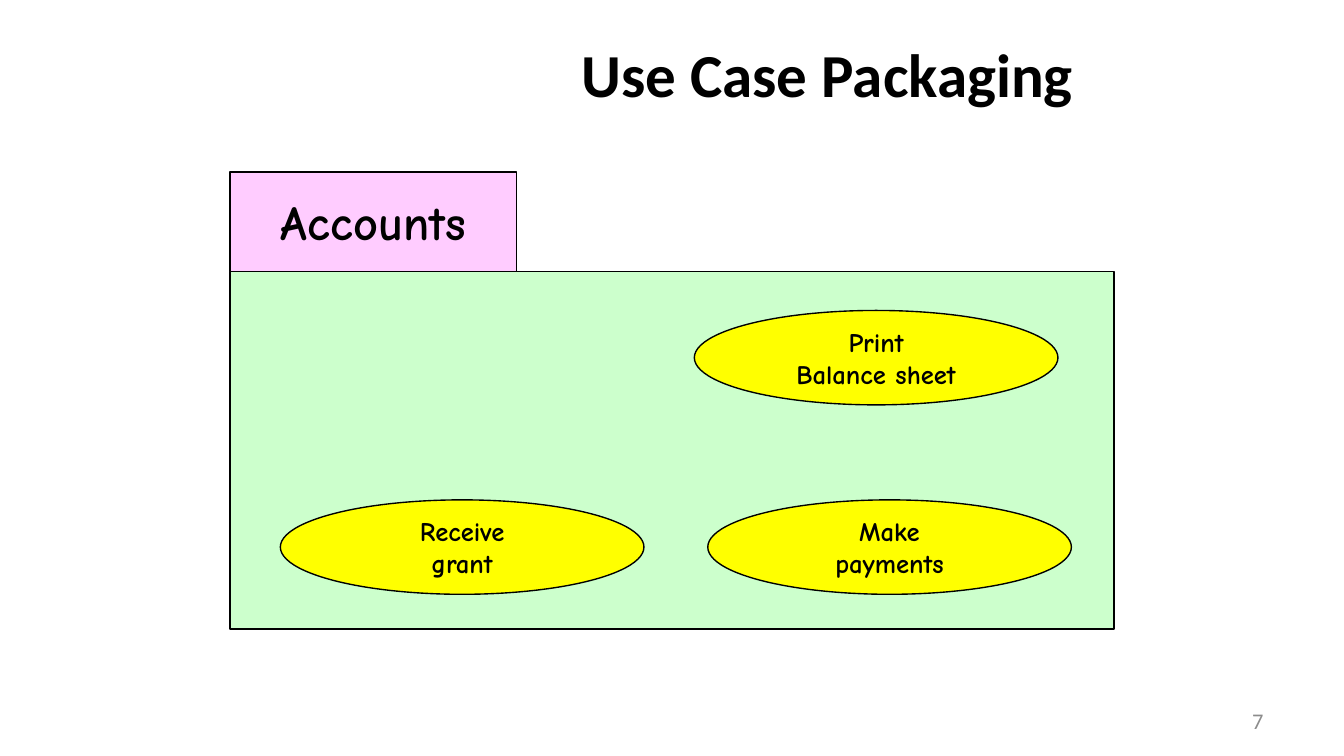
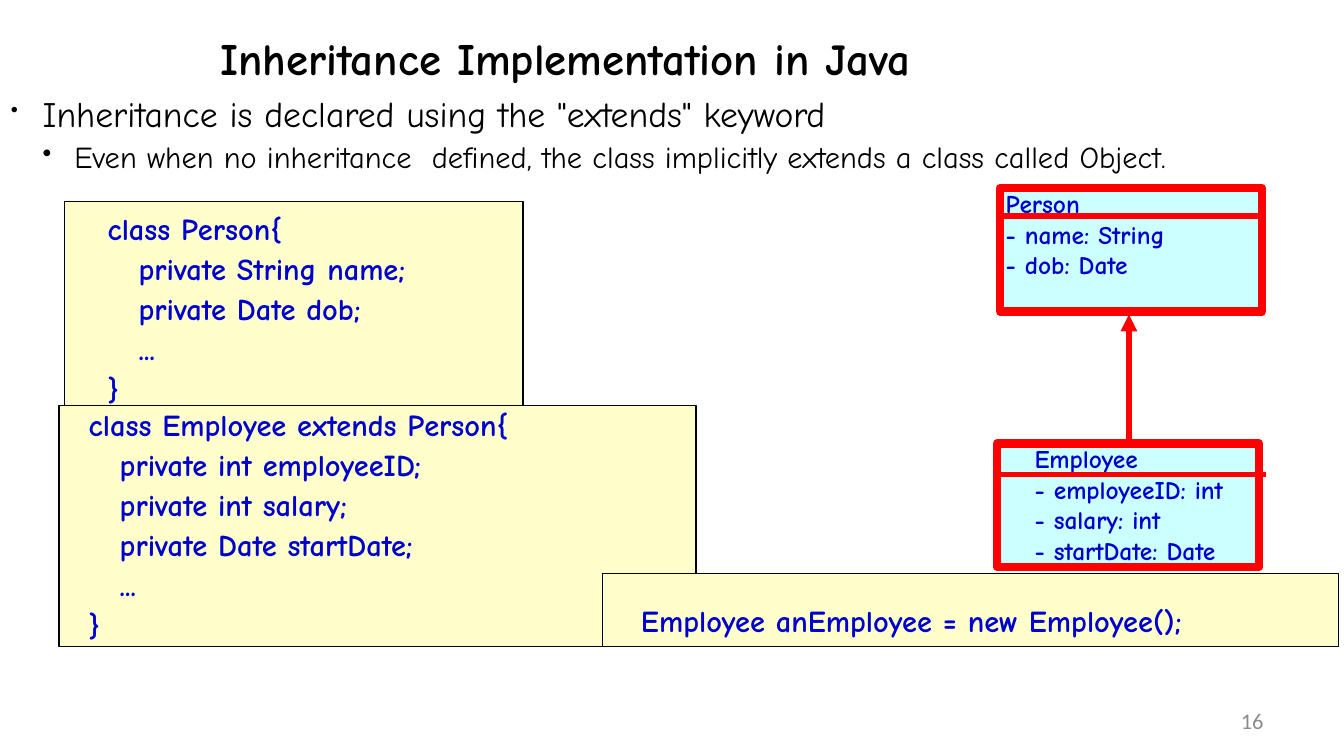
import pptx
import pptx.dml.color
import pptx.enum.shapes
import pptx.enum.text
import pptx.util
import lxml.etree

Pt = pptx.util.Pt
color = pptx.dml.color.RGBColor.from_string
SHAPE = pptx.enum.shapes.MSO_SHAPE
ALIGN = pptx.enum.text.PP_ALIGN
ANCHOR = pptx.enum.text.MSO_ANCHOR

BLACK, BLUE, RED, GRAY = "000000", "0000CC", "FF0000", "8C8C8C"
GREEN, PINK, YELLOW, CREAM, CYAN = "CCFFCC", "FFCCFF", "FFFF00", "FFFFCC", "CCFFFF"
COMIC, CALIBRI = "Comic Neue", "Calibri"
DRAWING = "{http://schemas.openxmlformats.org/drawingml/2006/main}"


def write(box, text, size, font=COMIC, ink=BLACK, bold=True, align=ALIGN.LEFT,
          anchor=ANCHOR.TOP, inset=(0, 0, 0, 0), wrap=True, hang=0, before=0,
          spacing=None, bullets=None):
    """Fill a box, one paragraph per line; bullets gives (size, percent) per line."""
    frame = box.text_frame
    frame.word_wrap = wrap
    frame.vertical_anchor = anchor
    frame.margin_left, frame.margin_top, frame.margin_right, frame.margin_bottom = map(Pt, inset)
    for number, line in enumerate(text.split("\n")):
        para = frame.add_paragraph() if number else frame.paragraphs[0]
        para.alignment = align
        para.line_spacing = spacing
        para.space_before = Pt(before if number else 0)
        para.level = number if bullets else 0
        if hang:
            properties = para._p.get_or_add_pPr()
            depth = number + 1 if bullets else 1
            properties.set("marL", str(Pt(hang * depth)))
            properties.set("indent", str(-Pt(hang)))
        if bullets:
            tint = lxml.etree.SubElement(properties, DRAWING + "buClr")
            lxml.etree.SubElement(tint, DRAWING + "srgbClr", val=BLACK)
            lxml.etree.SubElement(properties, DRAWING + "buSzPct", val=str(bullets[number][1] * 1000))
            lxml.etree.SubElement(properties, DRAWING + "buChar", char="•")
        span = para.add_run()
        span.text = line
        span.font.size = Pt(bullets[number][0] if bullets else size)
        span.font.name = font
        span.font.bold = bold
        span.font.color.rgb = color(ink)


def draw(page, kind, place, fill, line=BLACK, weight=0.75):
    """Add a filled and outlined shape at (left, top, width, height)."""
    shape = page.shapes.add_shape(kind, *map(Pt, place))
    shape.shadow.inherit = False
    shape.fill.solid()
    shape.fill.fore_color.rgb = color(fill)
    shape.line.color.rgb = color(line)
    shape.line.width = Pt(weight)
    return shape


deck = pptx.Presentation()
deck.slide_width, deck.slide_height = Pt(720), Pt(405)

# Pages with their numbers
pages = []
for number in ("7", "16"):
    page = deck.slides.add_slide(deck.slide_layouts[6])
    box = page.shapes.add_textbox(Pt(516.2), Pt(375.1), Pt(167.8), Pt(21.6))
    write(box, number, 12, font=CALIBRI, ink=GRAY, bold=False, align=ALIGN.RIGHT,
          anchor=ANCHOR.MIDDLE, inset=(7.2, 3.6, 7.2, 3.6))
    pages.append(page)
packaging, inheritance = pages

# Use case packaging: title
title = packaging.shapes.add_textbox(Pt(214), Pt(7.9), Pt(458.6), Pt(67))
write(title, "Use Case Packaging", 32.7, font=CALIBRI, align=ALIGN.CENTER,
      anchor=ANCHOR.MIDDLE, inset=(0.7, 2.9, 0.7, 2.9), spacing=0.94)

# Package body and tab
draw(packaging, SHAPE.RECTANGLE, (123.2, 145.4, 473.6, 191.7), GREEN)
tab = draw(packaging, SHAPE.RECTANGLE, (123.2, 92.1, 153.6, 53.3), PINK)
write(tab, "Accounts", 25.9, align=ALIGN.CENTER, anchor=ANCHOR.MIDDLE,
      inset=(5.8, 2.9, 5.8, 2.9), wrap=False)

# Use cases
for text, left, top in (("Receive\ngrant", 150.2, 267.8),
                        ("Print\nBalance sheet", 372, 166.3),
                        ("Make\npayments", 379.2, 267.8)):
    use_case = draw(packaging, SHAPE.OVAL, (left, top, 194.8, 50.6), YELLOW)
    write(use_case, text, 14.3, align=ALIGN.CENTER, anchor=ANCHOR.MIDDLE, wrap=False)

# Inheritance: title and bullets
title = inheritance.shapes.add_textbox(Pt(118), Pt(16.6), Pt(486), Pt(28.8))
write(title, "Inheritance Implementation in Java", 24)
points = inheritance.shapes.add_textbox(Pt(5.8), Pt(49), Pt(702), Pt(69.8))
write(points, 'Inheritance is declared using the "extends" keyword\n'
      "Even when no inheritance  defined, the class implicitly extends a class called Object.",
      19.1, bold=False, hang=17, before=1.9, bullets=((19.1, 59), (16.3, 85)))

# Class boxes
for text, left, top, indent in (
        ("Person\n- name: String\n- dob: Date", 535.7, 100.8, 3),
        ("Employee\n- employeeID: int\n- salary: int\n- startDate: Date", 534.2, 237.6, 20)):
    class_box = draw(inheritance, SHAPE.RECTANGLE, (left, top, 140.4, 66.2), CYAN, RED, 4.5)
    write(class_box, text, 13.6, ink=BLUE, inset=(indent, 0, 0, 0))

# Code panels: panel place, text place, code
for panel, place, code in (
        ((34.6, 108, 245.5, 114.5), (57.6, 112.3, 210.2, 107.3),
         "class Person{\n\tprivate String name;\n\tprivate Date dob;\n\t...\n}"),
        ((31.7, 217.4, 341.3, 128.9), (47.5, 217.4, 291.6, 128.9),
         "class Employee extends Person{\n\tprivate int employeeID;\n\tprivate int salary;\n"
         "\tprivate Date startDate;\n\t...\n}"),
        ((322.6, 307.4, 394.6, 38.9), (343.4, 322.6, 332.6, 19.4),
         "Employee anEmployee = new Employee();")):
    draw(inheritance, SHAPE.RECTANGLE, panel, CREAM)
    box = inheritance.shapes.add_textbox(*map(Pt, place))
    write(box, code, 16.3, ink=BLUE, hang=16.6, before=1.9)

# Name dividers and the inheritance arrow
for ends, arrow in (((534.2, 115.9, 678.2, 115.9), False),
                    ((534.2, 254.2, 678.2, 254.2), False),
                    ((604.8, 237.6, 604.8, 168.5), True)):
    line = inheritance.shapes.add_connector(
        pptx.enum.shapes.MSO_CONNECTOR.STRAIGHT, *map(Pt, ends))
    line.line.color.rgb = color(RED)
    line.line.width = Pt(3)
    if arrow:
        lxml.etree.SubElement(line.line._get_or_add_ln(), DRAWING + "tailEnd", type="triangle")
    lxml.etree.SubElement(line._element.spPr, DRAWING + "effectLst")

deck.save("out.pptx")
